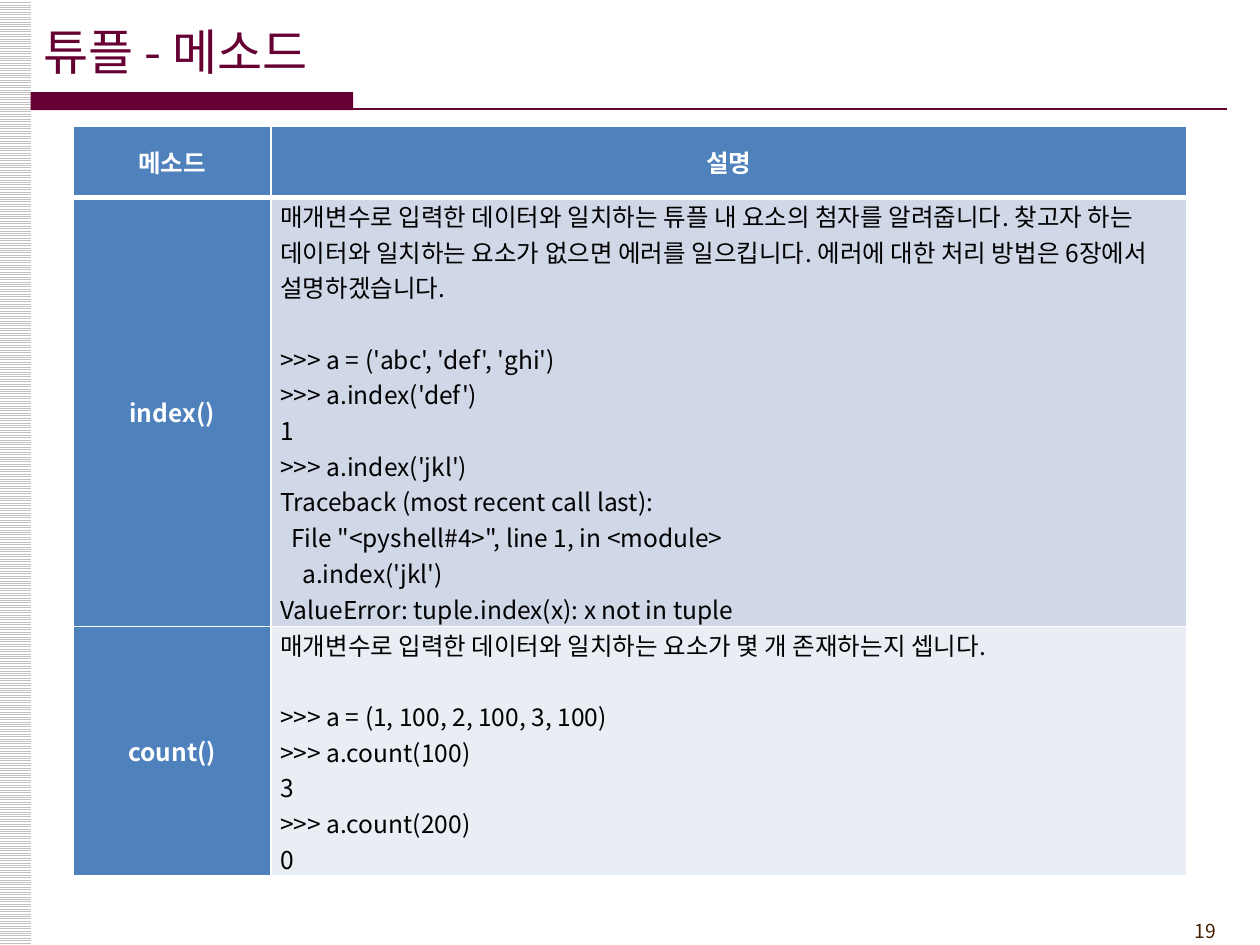
from lxml.etree import SubElement
from pptx import Presentation
from pptx.dml.color import RGBColor
from pptx.enum.dml import MSO_PATTERN
from pptx.enum.shapes import MSO_CONNECTOR, MSO_SHAPE
from pptx.enum.text import MSO_ANCHOR, PP_ALIGN
from pptx.oxml import parse_xml
from pptx.oxml.ns import nsdecls, qn
from pptx.util import Cm, Pt

FONT = "Noto Sans CJK KR"
COLORS = {
    "wine": "660033", "hatch": "C0C0C0", "white": "FFFFFF", "black": "000000",
    "number": "452103", "header": "4F81BD", "odd": "D0D8E8", "even": "E9EDF4",
}
TITLE = "튜플 - 메소드"
PAGE = "19"
HEADINGS = ("메소드", "설명")
METHODS = [
    ("index()",
     "매개변수로 입력한 데이터와 일치하는 튜플 내 요소의 첨자를 알려줍니다. "
     "찾고자 하는 데이터와 일치하는 요소가 없으면 에러를 일으킵니다. "
     "에러에 대한 처리 방법은 6장에서 설명하겠습니다.",
     [">>> a = ('abc', 'def', 'ghi')",
      ">>> a.index('def')",
      "1",
      ">>> a.index('jkl')",
      "Traceback (most recent call last):",
      "  File \"<pyshell#4>\", line 1, in <module>",
      "    a.index('jkl')",
      "ValueError: tuple.index(x): x not in tuple"]),
    ("count()",
     "매개변수로 입력한 데이터와 일치하는 요소가 몇 개 존재하는지 셉니다.",
     [">>> a = (1, 100, 2, 100, 3, 100)",
      ">>> a.count(100)",
      "3",
      ">>> a.count(200)",
      "0"]),
]
COLUMN_WIDTHS = (3.98, 18.46)
ROW_HEIGHTS = (1.44, 8.65, 5.02)
CODE_GAP = 20.3


def rgb(name):
    return RGBColor.from_string(COLORS[name])


def write(paragraph, text, size, color, bold=False, align=PP_ALIGN.LEFT):
    paragraph.alignment = align
    run = paragraph.add_run()
    run.text = text
    run.font.size = Pt(size)
    run.font.bold = bold
    run.font.color.rgb = rgb(color)
    run.font.name = FONT


def add_label(slide, box, text, size, color, align=PP_ALIGN.LEFT):
    frame = slide.shapes.add_textbox(*map(Cm, box)).text_frame
    frame.word_wrap = True
    frame.vertical_anchor = MSO_ANCHOR.MIDDLE
    write(frame.paragraphs[0], text, size, color, align=align)


def add_rectangle(slide, box):
    rectangle = slide.shapes.add_shape(MSO_SHAPE.RECTANGLE, *map(Cm, box))
    rectangle.shadow.inherit = False
    rectangle.line.fill.background()
    return rectangle


def add_frame(slide):
    stripe = add_rectangle(slide, (0, 0, 0.62, 19.05))
    stripe.fill.patterned()
    stripe.fill.pattern = MSO_PATTERN.LIGHT_HORIZONTAL
    stripe.fill.fore_color.rgb = rgb("hatch")
    stripe.fill.back_color.rgb = rgb("white")

    bar = add_rectangle(slide, (0.62, 1.86, 6.5, 0.36))
    bar.fill.solid()
    bar.fill.fore_color.rgb = rgb("wine")

    rule = slide.shapes.add_connector(
        MSO_CONNECTOR.STRAIGHT, Cm(0.62), Cm(2.2), Cm(24.73), Cm(2.2))
    rule.line.color.rgb = rgb("wine")
    rule.line.width = Pt(1.5)
    SubElement(rule._element.spPr, qn("a:effectLst"))


def style_cell(cell, fill, top, bottom, right_margin=0.19):
    cell.vertical_anchor = MSO_ANCHOR.MIDDLE
    cell.margin_left = Cm(0.19)
    cell.margin_right = Cm(right_margin)
    cell.margin_top = cell.margin_bottom = 0
    cell.fill.solid()
    cell.fill.fore_color.rgb = rgb(fill)
    properties = cell._tc.get_or_add_tcPr()
    sides = (("lnL", 1), ("lnR", 1), ("lnT", top), ("lnB", bottom))
    for place, (side, width) in enumerate(sides):
        properties.insert(place, parse_xml(
            f'<a:{side} {nsdecls("a")} w="{Pt(width)}"><a:solidFill>'
            f'<a:srgbClr val="{COLORS["white"]}"/></a:solidFill></a:{side}>'))


def write_heading(cell, text):
    write(cell.text_frame.paragraphs[0], text, 14, "white", True, PP_ALIGN.CENTER)


def add_methods(slide):
    table = slide.shapes.add_table(
        len(ROW_HEIGHTS), len(COLUMN_WIDTHS), Cm(1.48), Cm(2.54),
        Cm(sum(COLUMN_WIDTHS)), Cm(sum(ROW_HEIGHTS))).table
    for column, width in zip(table.columns, COLUMN_WIDTHS):
        column.width = Cm(width)
    for row, height in zip(table.rows, ROW_HEIGHTS):
        row.height = Cm(height)

    for index, heading in enumerate(HEADINGS):
        cell = table.cell(0, index)
        style_cell(cell, "header", 1, 3)
        write_heading(cell, heading)

    for index, (method, description, code) in enumerate(METHODS, start=1):
        top = 3 if index == 1 else 1
        name_cell, detail_cell = table.cell(index, 0), table.cell(index, 1)
        style_cell(name_cell, "header", top, 1)
        write_heading(name_cell, method)
        style_cell(detail_cell, "odd" if index % 2 else "even", top, 1, 0.35)
        detail = detail_cell.text_frame
        write(detail.paragraphs[0], description, 14, "black")
        detail.paragraphs[0].space_after = Pt(CODE_GAP)
        for line in code:
            write(detail.add_paragraph(), line, 14, "black")


def main():
    presentation = Presentation()
    presentation.slide_width, presentation.slide_height = Cm(25.4), Cm(19.05)
    slide = presentation.slides.add_slide(presentation.slide_layouts[6])
    add_frame(slide)
    add_label(slide, (22.66, 18.4, 2.1, 0.74), PAGE, 11, "number", PP_ALIGN.RIGHT)
    add_label(slide, (0.62, 0.23, 21, 1.6), TITLE, 28, "wine")
    add_methods(slide)
    presentation.save("out.pptx")


if __name__ == "__main__":
    main()
